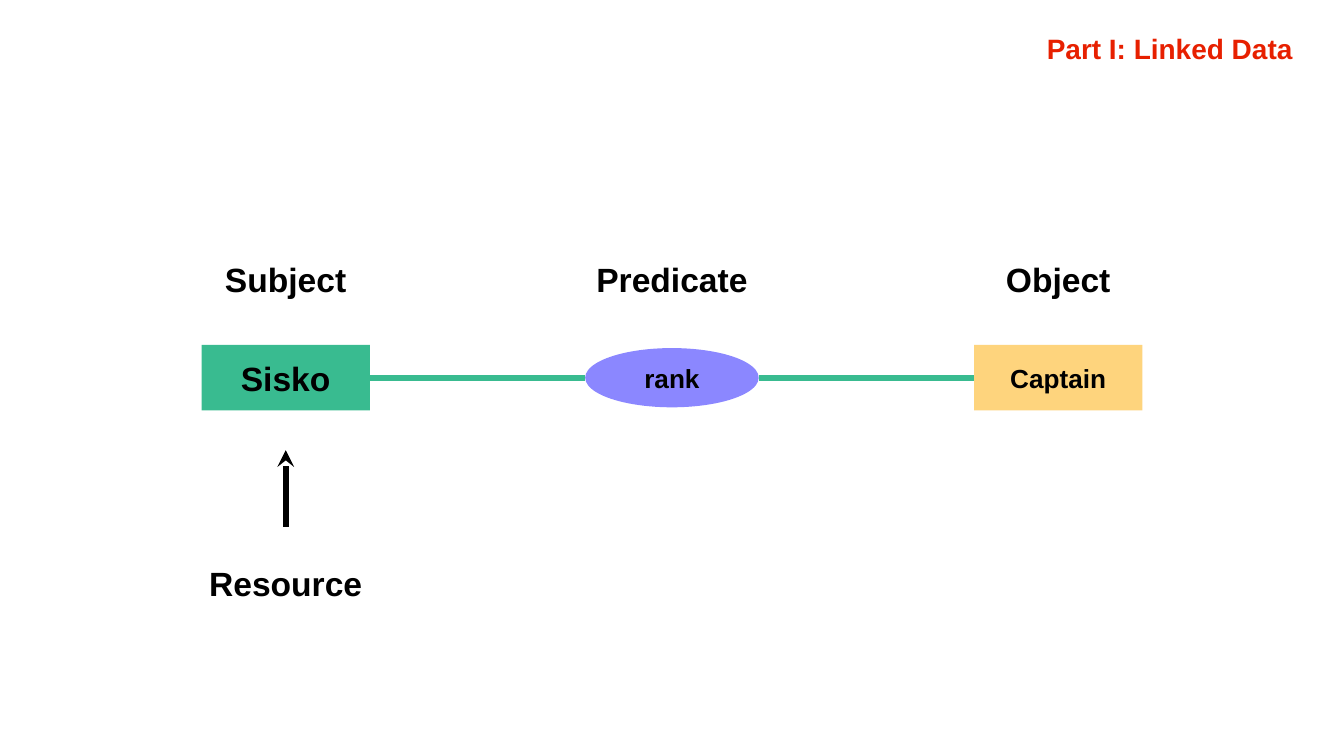
from lxml import etree
from pptx import Presentation
from pptx import util as u
from pptx.dml.color import RGBColor
from pptx.enum import shapes, text
from pptx.oxml.ns import qn

BLACK, RED, GREEN, PURPLE, YELLOW = "000000", "E72000", "39BB90", "8B87FF", "FED47D"
CENTRES = [5.4, 12.7, 20]  # subject, predicate and object columns, in cm
NODE_Y = 7.14
LABEL_WIDTH, LABEL_HEIGHT = 3.43, 1.12


def colour(hex_string):
    return RGBColor.from_string(hex_string)


def write(shape, words, size, hex_string=BLACK, align=text.PP_ALIGN.CENTER,
          anchor=text.MSO_ANCHOR.TOP, inset_x=0.25, inset_y=0.25):
    frame = shape.text_frame
    frame.word_wrap = True
    frame.auto_size = text.MSO_AUTO_SIZE.NONE
    frame.vertical_anchor = anchor
    frame.margin_left = frame.margin_right = u.Cm(inset_x)
    frame.margin_top = frame.margin_bottom = u.Cm(inset_y)
    paragraph = frame.paragraphs[0]
    paragraph.text = words
    paragraph.alignment = align
    font = paragraph.font
    font.name, font.size, font.bold = "Arial", u.Pt(size), True
    font.color.rgb = colour(hex_string)
    return paragraph


def add_title(slide, words):
    title = slide.shapes.title
    title.left, title.top = u.Cm(9.63), u.Cm(0.61)
    title.width, title.height = u.Cm(14.93), u.Cm(0.61)
    paragraph = write(title, words, 15, RED, text.PP_ALIGN.RIGHT,
                      inset_x=0.13, inset_y=0.05)
    paragraph.line_spacing = 0.9


def add_node(slide, kind, centre, width, height, words, size, fill):
    node = slide.shapes.add_shape(
        kind, u.Cm(centre - width / 2), u.Cm(NODE_Y - height / 2),
        u.Cm(width), u.Cm(height))
    node.shadow.inherit = False
    node.fill.solid()
    node.fill.fore_color.rgb = colour(fill)
    node.line.fill.background()
    write(node, words, size, anchor=text.MSO_ANCHOR.MIDDLE)


def add_label(slide, centre, top, words):
    label = slide.shapes.add_textbox(
        u.Cm(centre - LABEL_WIDTH / 2), u.Cm(top),
        u.Cm(LABEL_WIDTH), u.Cm(LABEL_HEIGHT))
    write(label, words, 18)


def add_line(slide, start, end, hex_string, arrow=False):
    line = slide.shapes.add_connector(
        shapes.MSO_CONNECTOR.STRAIGHT, *(u.Cm(value) for value in start + end))
    line.line.color.rgb = colour(hex_string)
    line.line.width = u.Pt(3)
    properties = line._element.spPr
    if arrow:
        etree.SubElement(properties.find(qn("a:ln")), qn("a:tailEnd"), type="stealth")
    etree.SubElement(properties, qn("a:effectLst"))


def main():
    presentation = Presentation()
    presentation.slide_width, presentation.slide_height = u.Cm(25.4), u.Cm(14.29)
    slide = presentation.slides.add_slide(presentation.slide_layouts[5])
    add_title(slide, "Part I: Linked Data")

    # Nodes of the triple, with their roles above
    box, oval = shapes.MSO_SHAPE.RECTANGLE, shapes.MSO_SHAPE.OVAL
    nodes = [
        ("Subject", box, 3.18, 1.24, "Sisko", 18, GREEN),
        ("Predicate", oval, 3.28, 1.12, "rank", 14, PURPLE),
        ("Object", box, 3.18, 1.24, "Captain", 14, YELLOW),
    ]
    for centre, (role, kind, width, height, words, size, fill) in zip(CENTRES, nodes):
        add_node(slide, kind, centre, width, height, words, size, fill)
        add_label(slide, centre, 4.65, role)

    # Links between neighbouring nodes
    for i in range(len(nodes) - 1):
        start = CENTRES[i] + nodes[i][2] / 2
        end = CENTRES[i + 1] - nodes[i + 1][2] / 2
        add_line(slide, (start, NODE_Y), (end, NODE_Y), GREEN)

    # Resource pointing up at the subject
    add_line(slide, (CENTRES[0], 9.96), (CENTRES[0], 8.51), BLACK, arrow=True)
    add_label(slide, CENTRES[0], 10.39, "Resource")

    presentation.save("out.pptx")


if __name__ == "__main__":
    main()
